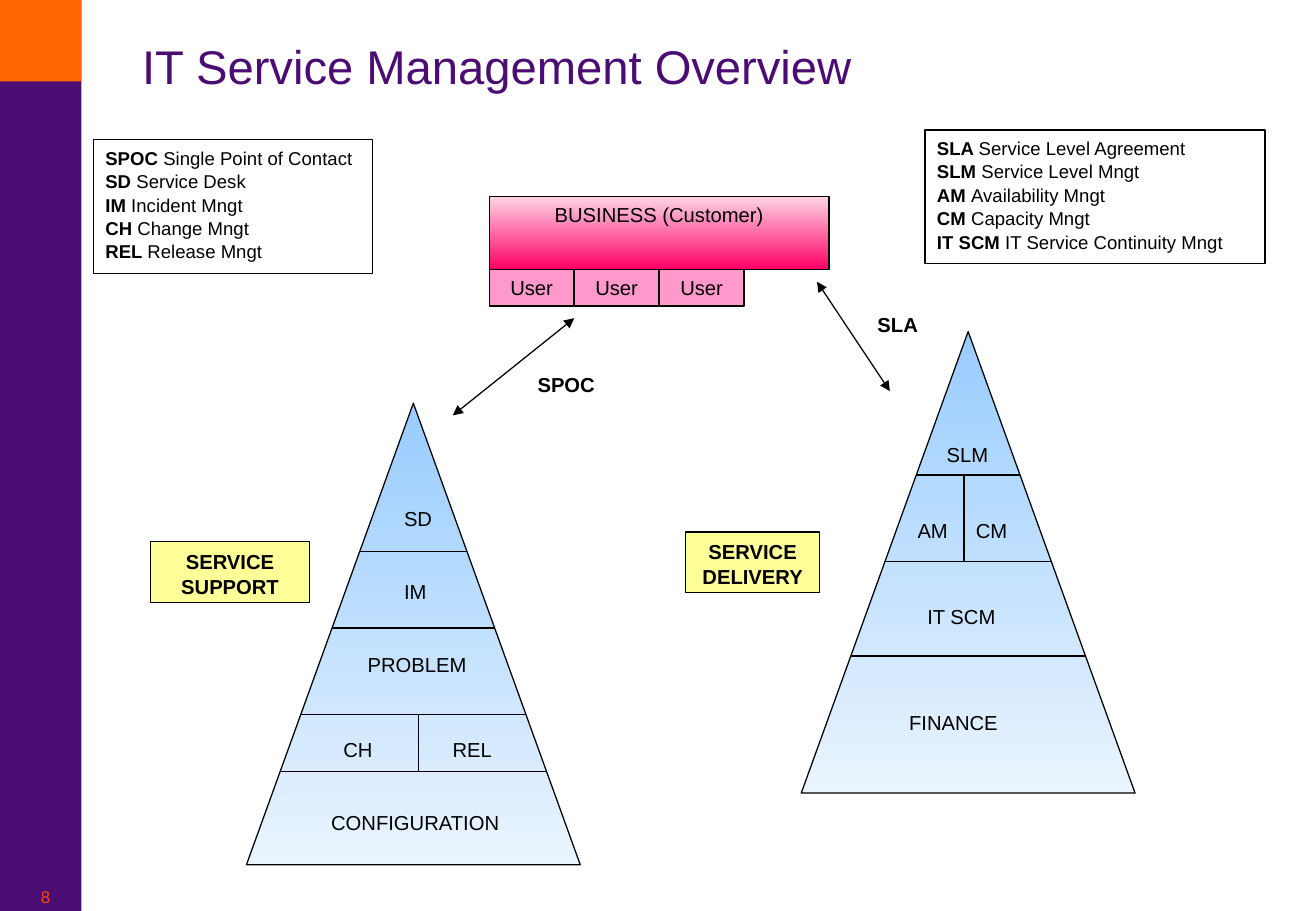
from pptx import Presentation, util as u
from pptx.dml.color import RGBColor
from pptx.enum import shapes, text
from pptx.oxml.ns import qn
from lxml import etree

PURPLE = RGBColor(0x4B, 0x0D, 0x73)
ORANGE = RGBColor(0xFF, 0x66, 0x00)
RED = RGBColor(0xFF, 0x46, 0x00)
BLACK = RGBColor(0, 0, 0)
WHITE = RGBColor(0xFF, 0xFF, 0xFF)
YELLOW = RGBColor(0xFF, 0xFF, 0x99)
PINK = RGBColor(0xFF, 0x99, 0xCC)
ROSE = [RGBColor(0xFE, 0xD4, 0xE4), RGBColor(0xFF, 0x00, 0x66)]
BLUE = [RGBColor(0x99, 0xCC, 0xFF), RGBColor(0xEA, 0xF4, 0xFE)]

# Grid of square cells, ten to the inch
COLS, ROWS = 108.4, 75
SIDE = 6.7
WIDE, TALL = 27.5, 38
FONT = "Arial"
BOX = shapes.MSO_SHAPE.RECTANGLE
PEAK = shapes.MSO_SHAPE.ISOSCELES_TRIANGLE

SUPPORT = [("SPOC", "Single Point of Contact"), ("SD", "Service Desk"),
           ("IM", "Incident Mngt"), ("CH", "Change Mngt"),
           ("REL", "Release Mngt")]
DELIVERY = [("SLA", "Service Level Agreement"), ("SLM", "Service Level Mngt"),
            ("AM", "Availability Mngt"), ("CM", "Capacity Mngt"),
            ("IT SCM", "IT Service Continuity Mngt")]


def cells(*counts):
    return [u.Inches(count / 10) for count in counts]


def style(par, size=12, color=BLACK, bold=False, align=text.PP_ALIGN.LEFT):
    par.alignment = align
    par.font.name = FONT
    par.font.size = u.Pt(size)
    par.font.bold = bold
    par.font.color.rgb = color


def write(shape, lines, **look):
    frame = shape.text_frame
    frame.word_wrap = True
    frame.vertical_anchor = text.MSO_ANCHOR.TOP
    frame.text = "\n".join(lines)
    for par in frame.paragraphs:
        style(par, **look)
        if len(lines) > 1:
            par.line_spacing = 1.05


def block(slide, kind, area, fill, edge=True):
    """Add a preset shape; a list of two colours fills it top to bottom."""
    shape = slide.shapes.add_shape(kind, *cells(*area))
    shape.shadow.inherit = False
    if isinstance(fill, list):
        shape.fill.gradient()
        shape.fill.gradient_angle = 270
        for stop, color in zip(shape.fill.gradient_stops, fill):
            stop.color.rgb = color
    else:
        shape.fill.solid()
        shape.fill.fore_color.rgb = fill
    if edge:
        shape.line.color.rgb = BLACK
        shape.line.width = u.Pt(0.75)
    else:
        shape.line.fill.background()
    return shape


def panel(slide, area, fill, lines, bold=False):
    shape = block(slide, BOX, area, fill)
    write(shape, lines, bold=bold, align=text.PP_ALIGN.CENTER)


def label(slide, words, left, top, wide, tall=3, **look):
    box = slide.shapes.add_textbox(*cells(left, top, wide, tall))
    write(box, [words], **look)


def legend(slide, area, terms):
    frame = block(slide, BOX, area, WHITE).text_frame
    frame.word_wrap = True
    frame.vertical_anchor = text.MSO_ANCHOR.TOP
    for row, (short, name) in enumerate(terms):
        par = frame.add_paragraph() if row else frame.paragraphs[0]
        style(par, size=11)
        par.line_spacing = 1.05
        par.add_run().text = short + " "
        par.runs[0].font.bold = True
        par.add_run().text = name


def line(slide, ends, arrow=False):
    link = slide.shapes.add_connector(
        shapes.MSO_CONNECTOR.STRAIGHT, *cells(*ends))
    link.line.color.rgb = BLACK
    link.line.width = u.Pt(0.75)
    if arrow:
        stroke = link._element.spPr.find(qn("a:ln"))
        for tag in ("a:headEnd", "a:tailEnd"):
            etree.SubElement(stroke, qn(tag), type="triangle")
    etree.SubElement(link._element.spPr, qn("a:effectLst"))


def pyramid(slide, left, top, cuts, split, names):
    """Cut a triangle at the given rows and split one tier at a column."""
    block(slide, PEAK, (left, top, WIDE, TALL), BLUE)
    mid = left + WIDE / 2
    for row in cuts:
        half = WIDE / 2 * (row - top) / TALL
        line(slide, (mid - half, row, mid + half, row))
    col, tier = split
    line(slide, (col, cuts[tier], col, cuts[tier + 1]))
    for name in names:
        label(slide, *name)


def frame_slide(slide):
    block(slide, BOX, (0, 0, SIDE, ROWS), PURPLE, edge=False)
    block(slide, BOX, (0, 0, SIDE, SIDE), ORANGE, edge=False)
    label(slide, "8", 0, ROWS - 2.5, 7.5, 2.5, size=10, color=RED,
          align=text.PP_ALIGN.CENTER)
    title = slide.shapes.title
    title.left, title.top, title.width, title.height = cells(11.7, 2.9, 94.2, 5)
    write(title, ["IT Service Management Overview"], size=28, color=PURPLE)
    frame = title.text_frame
    frame.vertical_anchor = text.MSO_ANCHOR.MIDDLE
    frame.margin_left = frame.margin_right = 0
    frame.margin_top = frame.margin_bottom = 0


def main():
    deck = Presentation()
    deck.slide_width, deck.slide_height = cells(COLS, ROWS)
    slide = deck.slides.add_slide(deck.slide_layouts[5])
    frame_slide(slide)

    pyramid(slide, 20.3, 33.2, (45.4, 51.7, 58.8, 63.5), (34.5, 2), [
        ("SD", 32.3, 41.2, 5), ("IM", 32.3, 47.2, 5),
        ("PROBLEM", 29.3, 53.2, 11), ("CH", 27.3, 60.2, 5),
        ("REL", 36.3, 60.2, 6), ("CONFIGURATION", 26.3, 66.2, 16, 4)])
    pyramid(slide, 66, 27.3, (39.1, 46.2, 54), (79.4, 0), [
        ("SLM", 77, 35.9, 6), ("AM", 74.6, 42.2, 5), ("CM", 79.4, 42.2, 5),
        ("IT SCM", 75.4, 49.3, 8), ("FINANCE", 73.9, 58, 10)])
    panel(slide, (12.4, 44.6, 13.1, 5), YELLOW, ["SERVICE", "SUPPORT"], True)
    panel(slide, (56.5, 43.8, 11, 5), YELLOW, ["SERVICE", "DELIVERY"], True)

    panel(slide, (40.3, 16.2, 28, 6), ROSE, ["BUSINESS (Customer)"])
    for user in range(3):
        panel(slide, (40.3 + 7 * user, 22.2, 7, 3), PINK, ["User"])

    line(slide, (47.3, 26.2, 37.3, 34.2), arrow=True)
    label(slide, "SPOC", 43.3, 30.2, 7, bold=True)
    line(slide, (67.3, 23.2, 73.3, 32.2), arrow=True)
    label(slide, "SLA", 71.3, 25.2, 7, bold=True)

    legend(slide, (7.7, 11.5, 23, 11), SUPPORT)
    legend(slide, (76.2, 10.7, 28, 11), DELIVERY)
    deck.save("out.pptx")


if __name__ == "__main__":
    main()
